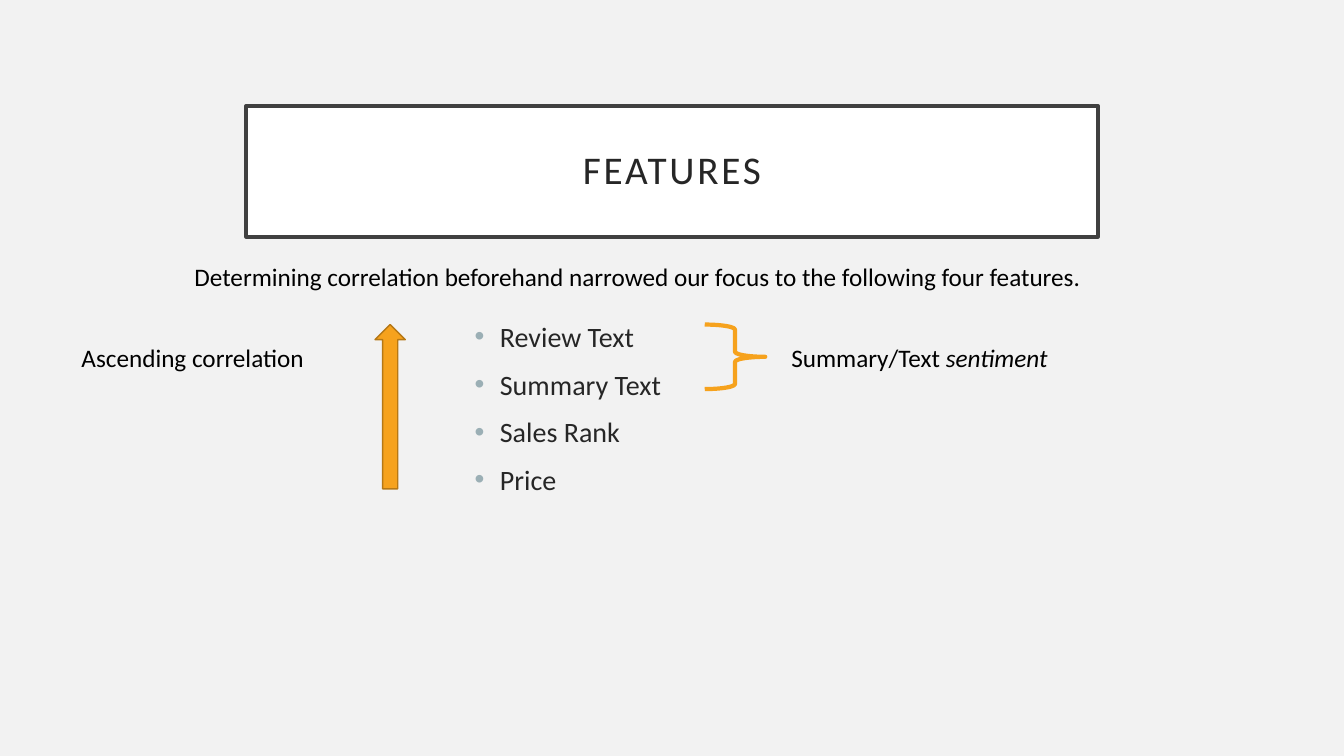
from dataclasses import dataclass

from lxml import etree
from pptx import Presentation
from pptx.dml.color import RGBColor
from pptx.enum.shapes import MSO_SHAPE as Preset
from pptx.enum.text import MSO_ANCHOR as Anchor, MSO_AUTO_SIZE as AutoSize, PP_ALIGN as Align
from pptx.oxml.ns import qn
from pptx.util import Inches, Pt

# Content: each text is a list of (words, italic) runs
TITLE = [("FEATURES", False)]
FEATURES = ["Review Text", "Summary Text", "Sales Rank", "Price"]
NOTES = [  # left, top, width, height, wraps, runs
    (7.75, 3.35, 2.83, 0.4, False, [("Summary/Text ", False), ("sentiment", True)]),
    (1.83, 2.54, 9.09, 0.4, False,
     [("Determining correlation beforehand narrowed our focus "
       "to the following four features.", False)]),
    (0.71, 3.35, 2.46, 0.4, True, [("Ascending correlation", False)]),
]

# Layout
TITLE_AREA = (2.44, 1.05, 8.45, 1.3)
LIST_AREA = (4.61, 3.12, 4.76, 4.76)
MARK_TOP = 3.22  # the arrow and the brace start level
ARROW_AREA = (3.72, MARK_TOP, 0.3, 1.63)
BRACE_AREA = (6.99, MARK_TOP, 0.6, 0.64)


@dataclass(frozen=True)
class Theme:
    font: str = "Calibri"
    background: str = "F2F2F2"
    panel: str = "FFFFFF"
    frame: str = "404040"
    heading: str = "262626"
    note: str = "000000"
    bullet: str = "9BAFB5"
    accent: str = "F6A21D"
    accent_edge: str = "B67815"
    title_size: int = 28
    list_size: int = 20
    note_size: int = 18


THEME = Theme()


def color(value):
    return RGBColor.from_string(value)


def place(area):
    return [Inches(length) for length in area]


def add_runs(para, runs, size, ink):
    for words, italic in runs:
        span = para.add_run()
        span.text = words
        span.font.name = THEME.font
        span.font.size = Pt(size)
        span.font.color.rgb = color(ink)
        if italic:
            span.font.italic = True


def add_preset(page, preset, area, fill, line, weight):
    shape = page.shapes.add_shape(preset, *place(area))
    shape.shadow.inherit = False
    if fill:
        shape.fill.solid()
        shape.fill.fore_color.rgb = color(fill)
    else:
        shape.fill.background()
    shape.line.color.rgb = color(line)
    shape.line.width = Pt(weight)
    return shape


def add_bullet(para):
    props = para._p.get_or_add_pPr()
    props.set("marL", str(Inches(0.25)))
    props.set("indent", str(-Inches(0.25)))
    tint = etree.SubElement(props, qn("a:buClr"))
    etree.SubElement(tint, qn("a:srgbClr"), val=THEME.bullet)
    etree.SubElement(props, qn("a:buFont"), typeface="Arial")
    etree.SubElement(props, qn("a:buChar"), char="•")


def add_title(page):
    box = add_preset(page, Preset.RECTANGLE, TITLE_AREA, THEME.panel, THEME.frame, 2.5)
    frame = box.text_frame
    frame.word_wrap = True
    frame.vertical_anchor = Anchor.MIDDLE
    frame.margin_left = frame.margin_right = Inches(0.2)
    frame.margin_top = frame.margin_bottom = Inches(0.2)
    para = frame.paragraphs[0]
    para.alignment = Align.CENTER
    para.line_spacing = 0.9
    add_runs(para, TITLE, THEME.title_size, THEME.heading)
    for span in para.runs:
        span.font._element.set("spc", "200")  # letter spacing of 2 points


def add_feature_list(page):
    frame = page.shapes.add_textbox(*place(LIST_AREA)).text_frame
    frame.word_wrap = True
    for index, feature in enumerate(FEATURES):
        para = frame.add_paragraph() if index else frame.paragraphs[0]
        para.space_before = Pt(10)
        add_bullet(para)
        add_runs(para, [(feature, False)], THEME.list_size, THEME.heading)


def add_note(page, area, wraps, runs):
    frame = page.shapes.add_textbox(*place(area)).text_frame
    frame.word_wrap = wraps
    frame.auto_size = AutoSize.SHAPE_TO_FIT_TEXT
    add_runs(frame.paragraphs[0], runs, THEME.note_size, THEME.note)


def main():
    deck = Presentation()
    deck.slide_width, deck.slide_height = Inches(13.33), Inches(7.5)
    page = deck.slides.add_slide(deck.slide_layouts[6])
    page.background.fill.solid()
    page.background.fill.fore_color.rgb = color(THEME.background)

    # Title and features
    add_title(page)
    add_feature_list(page)

    # Brace over the text features, arrow for rising correlation
    add_preset(page, Preset.RIGHT_BRACE, BRACE_AREA, None, THEME.accent, 3)
    add_preset(page, Preset.UP_ARROW, ARROW_AREA, THEME.accent, THEME.accent_edge, 1)

    # Notes around the list
    for *area, wraps, runs in NOTES:
        add_note(page, area, wraps, runs)

    deck.save("out.pptx")


if __name__ == "__main__":
    main()
